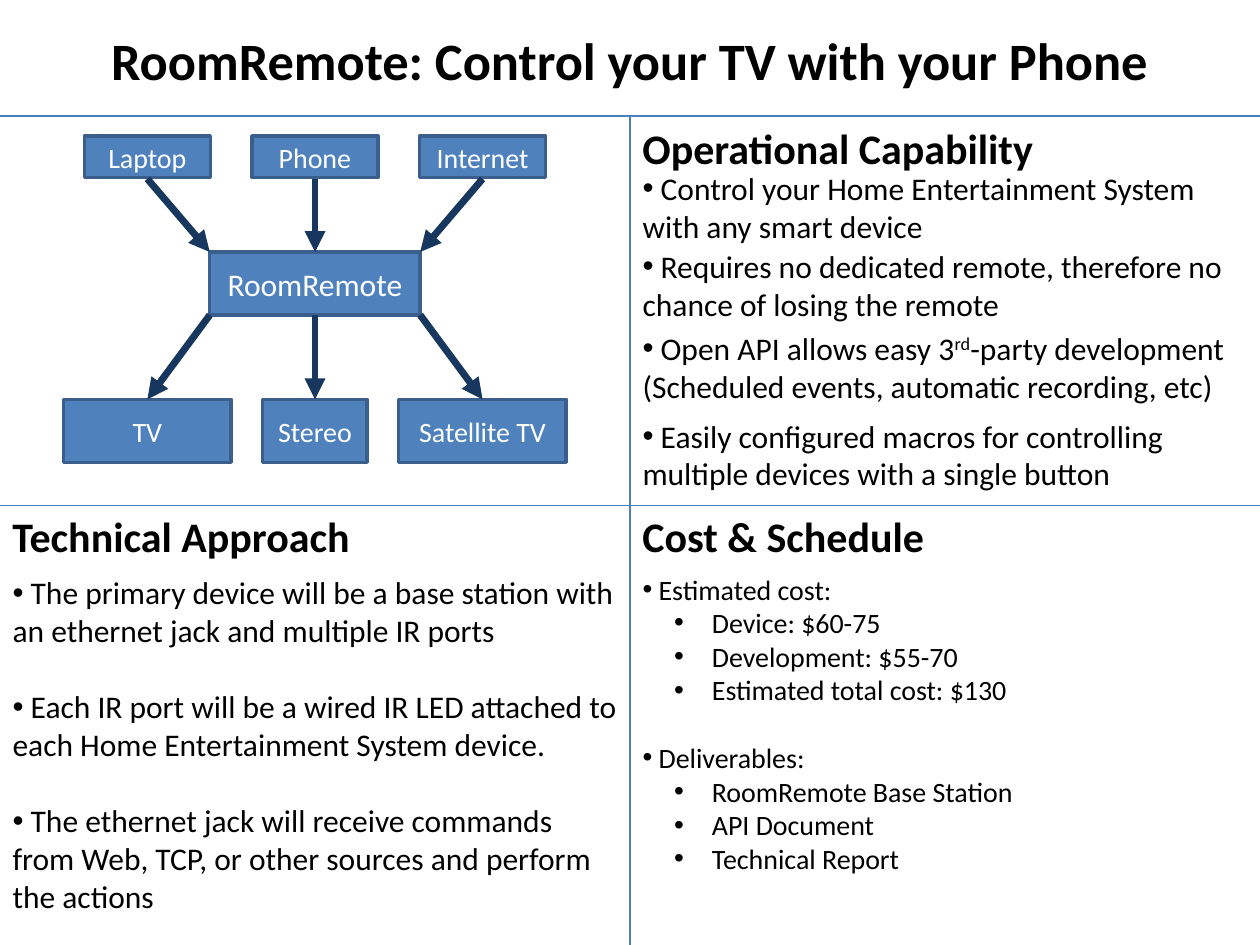
import dataclasses
import typing

import lxml.etree
import pptx
import pptx.dml.color
import pptx.enum.shapes
import pptx.enum.text
import pptx.oxml.ns
import pptx.util

Inches = pptx.util.Inches
Pt = pptx.util.Pt
RGBColor = pptx.dml.color.RGBColor
Align = pptx.enum.text.PP_ALIGN
Anchor = pptx.enum.text.MSO_ANCHOR
qn = pptx.oxml.ns.qn

BLACK = RGBColor(0x00, 0x00, 0x00)
WHITE = RGBColor(0xFF, 0xFF, 0xFF)
BLUE = RGBColor(0x4F, 0x81, 0xBD)
EDGE = RGBColor(0x3A, 0x5F, 0x8C)
RULE = RGBColor(0x4B, 0x7E, 0xBC)
NAVY = RGBColor(0x17, 0x37, 0x5E)
FONT = "Calibri"
BRAND = "RoomRemote"


@dataclasses.dataclass
class Node:
    text: str
    mid: float
    top: float
    wide: float
    high: float
    size: int = 16


@dataclasses.dataclass
class Item:
    text: str
    gap: float = 0
    level: int = 0
    raised: str = ""
    rest: str = ""


@dataclasses.dataclass
class Panel:
    head: str
    left: float
    top: float
    slot: int
    start: float
    high: float
    size: int
    items: list[Item]


def add_run(para: typing.Any, text: str, size: int, color: RGBColor,
            bold: bool = False, raised: bool = False) -> None:
    run = para.add_run()
    run.text = text
    run.font.name = FONT
    run.font.size = Pt(size)
    run.font.bold = bold
    run.font.color.rgb = color
    if raised:
        run.font._element.set("baseline", "30000")


def place(shape: typing.Any, left: float, top: float, wide: float, high: float) -> typing.Any:
    shape.left, shape.top = Inches(left), Inches(top)
    shape.width, shape.height = Inches(wide), Inches(high)
    frame = shape.text_frame
    frame.word_wrap = True
    frame.auto_size = pptx.enum.text.MSO_AUTO_SIZE.NONE
    frame.vertical_anchor = Anchor.TOP
    return frame


def add_line(slide: typing.Any, start: tuple[float, float], end: tuple[float, float],
             color: RGBColor, wide: float, arrow: bool = False) -> None:
    line = slide.shapes.add_connector(
        pptx.enum.shapes.MSO_CONNECTOR.STRAIGHT, *map(Inches, start + end))
    line.line.color.rgb = color
    line.line.width = Pt(wide)
    if arrow:
        lxml.etree.SubElement(line.line._get_or_add_ln(), qn("a:tailEnd"), type="triangle")
    lxml.etree.SubElement(line._element.spPr, qn("a:effectLst"))


def add_node(slide: typing.Any, node: Node) -> None:
    box = slide.shapes.add_shape(
        pptx.enum.shapes.MSO_SHAPE.RECTANGLE, Inches(node.mid - node.wide / 2),
        Inches(node.top), Inches(node.wide), Inches(node.high))
    box.shadow.inherit = False
    box.fill.solid()
    box.fill.fore_color.rgb = BLUE
    box.line.color.rgb = EDGE
    box.line.width = Pt(2)
    frame = box.text_frame
    frame.word_wrap = True
    frame.vertical_anchor = Anchor.MIDDLE
    para = frame.paragraphs[0]
    para.alignment = Align.CENTER
    add_run(para, node.text, node.size, WHITE)


def add_item(para: typing.Any, item: Item, size: int) -> None:
    para.level = item.level
    para.space_before = Pt(item.gap)
    para.space_after = Pt(0)
    props = para._p.get_or_add_pPr()
    props.set("marL", str(Inches(0.5 * item.level)))
    props.set("indent", str(Inches(-0.25 * item.level)))
    lxml.etree.SubElement(props, qn("a:buFont"), typeface="Arial")
    lxml.etree.SubElement(props, qn("a:buChar"), char="•")
    add_run(para, " " + item.text, size, BLACK)
    if item.raised:
        add_run(para, item.raised, size, BLACK, raised=True)
        add_run(para, item.rest, size, BLACK)


def add_panel(slide: typing.Any, panel: Panel) -> None:
    head = place(slide.shapes.add_textbox(0, 0, 0, 0), panel.left, panel.top, 5, 0.5)
    add_run(head.paragraphs[0], panel.head, 24, BLACK, bold=True)
    body = place(slide.placeholders[panel.slot], panel.left, panel.start, 5, panel.high)
    for i, item in enumerate(panel.items):
        para = body.add_paragraph() if i else body.paragraphs[0]
        add_item(para, item, panel.size)


PANELS = [
    Panel("Operational Capability", 5, 0.92, 1, 1.29, 2.71, 18, [
        Item("Control your Home Entertainment System with any smart device"),
        Item("Requires no dedicated remote, therefore no chance of losing the remote", 1.5),
        Item("Open API allows easy 3", 3.5, raised="rd",
             rest="-party development (Scheduled events, automatic recording, etc)"),
        Item("Easily configured macros for controlling multiple devices with a single button", 7),
    ]),
    Panel("Technical Approach", 0, 4, 2, 4.5, 2.83, 18, [
        Item("The primary device will be a base station with an ethernet jack "
             "and multiple IR ports"),
        Item("Each IR port will be a wired IR LED attached to each Home "
             "Entertainment System device.", 22),
        Item("The ethernet jack will receive commands from Web, TCP, or other "
             "sources and perform the actions", 22),
    ]),
    Panel("Cost & Schedule", 5, 4, 4, 4.49, 2.52, 16, [
        Item("Estimated cost:"),
        Item("Device: $60-75", level=1),
        Item("Development: $55-70", level=1),
        Item("Estimated total cost: $130", level=1),
        Item("Deliverables:", 19.5),
        Item(f"{BRAND} Base Station", level=1),
        Item("API Document", level=1),
        Item("Technical Report", level=1),
    ]),
]

deck = pptx.Presentation()
deck.slide_width, deck.slide_height = Inches(10), Inches(7.5)
slide = deck.slides.add_slide(deck.slide_layouts[4])

title = place(slide.shapes.title, 0, 0.17, 10, 0.61).paragraphs[0]
title.alignment = Align.CENTER
add_run(title, f"{BRAND}: Control your TV with your Phone", 30, BLACK, bold=True)

spare = slide.placeholders[3]._element
spare.getparent().remove(spare)

for panel in PANELS:
    add_panel(slide, panel)

for start, end in [((0, 0.92), (10, 0.92)), ((5, 0.92), (5, 7.5)), ((0, 4.01), (10, 4.01))]:
    add_line(slide, start, end, RULE, 0.75)

MIDS = [1.17, 2.5, 3.83]
hub = Node(BRAND, 2.5, 2, 1.67, 0.5, 18)
add_node(slide, hub)
for i, (mid, source, sink, wide) in enumerate(zip(
        MIDS, ["Laptop", "Phone", "Internet"], ["TV", "Stereo", "Satellite TV"],
        [1.33, 0.83, 1.33])):
    add_node(slide, Node(source, mid, 1.08, 1, 0.33))
    add_node(slide, Node(sink, mid, 3.17, wide, 0.5))
    port = hub.mid + (i - 1) * hub.wide / 2
    add_line(slide, (mid, 1.42), (port, hub.top), NAVY, 4, arrow=True)
    add_line(slide, (port, hub.top + hub.high), (mid, 3.17), NAVY, 4, arrow=True)

deck.save("out.pptx")
